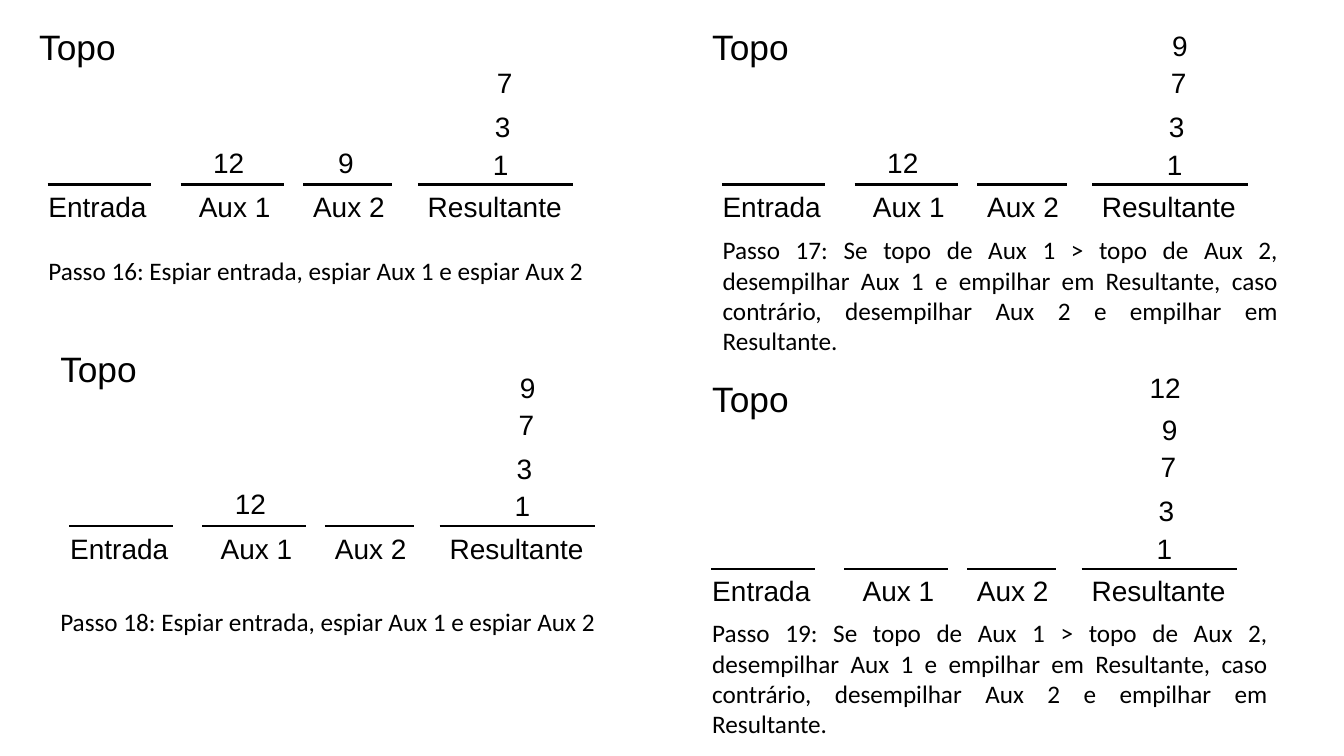
import pptx
import pptx.dml.color
import pptx.enum.shapes
import pptx.enum.text
import pptx.oxml.ns
import pptx.util
from dataclasses import dataclass
from lxml import etree

Cm = pptx.util.Cm
Pt = pptx.util.Pt
Align = pptx.enum.text.PP_ALIGN
AutoSize = pptx.enum.text.MSO_AUTO_SIZE


@dataclass(frozen=True)
class Theme:
    ink: pptx.dml.color.RGBColor = pptx.dml.color.RGBColor(0, 0, 0)
    diagram_font: str = "Arial"
    caption_font: str = "Calibri"
    title_size: float = 25.2
    stack_size: float = 20
    caption_size: float = 18
    line_width: float = 1.5


THEME = Theme()

PEEK = "Espiar entrada, espiar Aux 1 e espiar Aux 2"
MOVE = ("Se topo de Aux 1 > topo de Aux 2, desempilhar Aux 1 e empilhar em Resultante, "
        "caso contrário, desempilhar Aux 2 e empilhar em Resultante.")

# All lengths in cm. Origin: left of the stack labels, height of the base lines.
PANELS = [
    dict(origin=(0.97, 4.65), title=(0.74, 0.64), caption=(0.97, 6.32),
         step=16, action=PEEK, aux1="12", aux2="9", result=["1", "3", "7"]),
    dict(origin=(17.96, 4.65), title=(17.7, 0.64), caption=(17.96, 5.79),
         step=17, action=MOVE, aux1="12", aux2="", result=["1", "3", "7", "9"]),
    dict(origin=(1.52, 13.26), title=(1.27, 8.74), caption=(1.27, 15.16),
         step=18, action=PEEK, aux1="12", aux2="", result=["1", "3", "7", "9"]),
    dict(origin=(17.7, 14.33), title=(17.7, 9.5), caption=(17.7, 15.44),
         step=19, action=MOVE, aux1="", aux2="", result=["1", "3", "7", "9", "12"]),
]

# Name, label left, label width, line left, line width; lefts are from the origin.
STACKS = [
    ("Entrada", 0, 3.48, 0.23, 2.61),
    ("Aux 1", 3.79, 2.57, 3.58, 2.61),
    ("Aux 2", 6.67, 2.57, 6.67, 2.25),
    ("Resultante", 9.56, 4.06, 9.56, 3.92),
]

# Left, top and width of each place for a number, from the origin.
AUX1_SLOT = (4.15, -1.12, 1.47)
AUX2_SLOT = (7.3, -1.12, 0.97)
RESULT_SLOTS = [(11.2, -1.07, 0.76), (11.25, -2.01, 0.71), (11.3, -3.12, 1.02),
                (11.33, -4.05, 0.97), (11.02, -5.13, 1.47)]

ROW_HEIGHT = 1.12
TITLE_BOX = (2.44, 1.37)
CAPTION_BOXES = {PEEK: (14.33, 1.02, Align.LEFT), MOVE: (14.5, 3.33, Align.JUSTIFY)}


def add_text(shapes, text, left, top, width, height, size=THEME.stack_size,
             font=THEME.diagram_font, wrap=True, fit=AutoSize.SHAPE_TO_FIT_TEXT):
    """Add a text box and return its paragraph."""
    box = shapes.add_textbox(Cm(left), Cm(top), Cm(width), Cm(height))
    box.text_frame.word_wrap = wrap
    box.text_frame.auto_size = fit
    paragraph = box.text_frame.paragraphs[0]
    paragraph.text = text
    paragraph.font.name = font
    paragraph.font.size = Pt(size)
    paragraph.font.color.rgb = THEME.ink
    return paragraph


def add_base_line(shapes, left, top, width):
    line = shapes.add_connector(pptx.enum.shapes.MSO_CONNECTOR.STRAIGHT,
                                Cm(left), Cm(top), Cm(left + width), Cm(top))
    line.line.color.rgb = THEME.ink
    line.line.width = Pt(THEME.line_width)
    etree.SubElement(line._element.spPr, pptx.oxml.ns.qn("a:effectLst"))


def add_stacks(slide, x, y):
    """Add the four base lines with their names as one group."""
    group = slide.shapes.add_group_shape()
    for name, label_left, label_width, line_left, line_width in STACKS:
        add_text(group.shapes, name, x + label_left, y, label_width, ROW_HEIGHT)
        add_base_line(group.shapes, x + line_left, y, line_width)


def add_panel(slide, panel):
    x, y = panel["origin"]
    title = add_text(slide.shapes, "Topo", *panel["title"], *TITLE_BOX,
                     size=THEME.title_size, wrap=False, fit=AutoSize.NONE)
    title.line_spacing = 0.9
    title.space_before = Pt(10)

    add_stacks(slide, x, y)
    numbers = [(panel["aux1"], AUX1_SLOT), (panel["aux2"], AUX2_SLOT),
               *zip(panel["result"], RESULT_SLOTS)]
    for number, (left, top, width) in numbers:
        if number:
            add_text(slide.shapes, number, x + left, y + top, width, ROW_HEIGHT)

    width, height, alignment = CAPTION_BOXES[panel["action"]]
    caption = add_text(slide.shapes, f"Passo {panel['step']}: {panel['action']}",
                       *panel["caption"], width, height,
                       size=THEME.caption_size, font=THEME.caption_font)
    caption.alignment = alignment


def main():
    presentation = pptx.Presentation()
    presentation.slide_width = Cm(33.87)
    presentation.slide_height = Cm(19.05)
    slide = presentation.slides.add_slide(presentation.slide_layouts[6])
    for panel in PANELS:
        add_panel(slide, panel)
    presentation.save("out.pptx")


if __name__ == "__main__":
    main()
